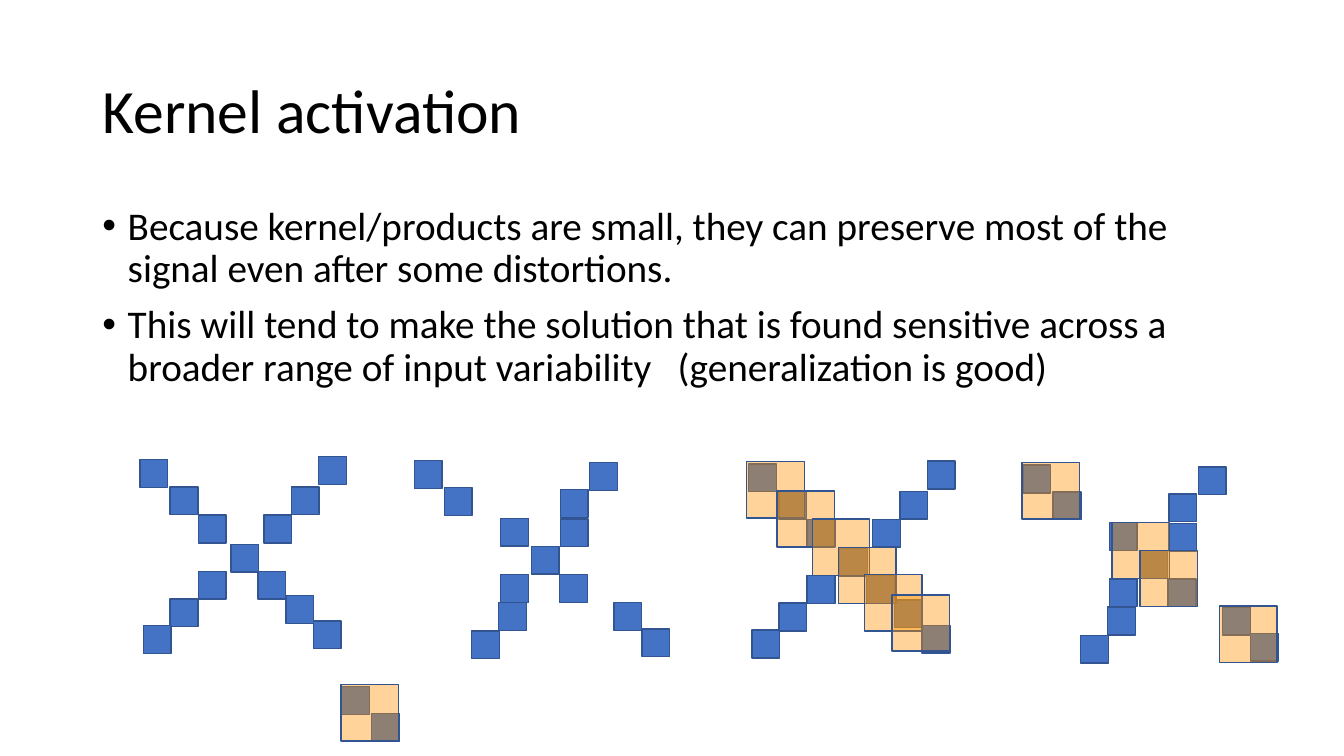
"""Build the kernel activation slide."""
from lxml.etree import SubElement
from pptx import Presentation
from pptx.dml.color import RGBColor as Rgb
from pptx.enum.shapes import MSO_SHAPE as Shape
from pptx.enum.text import MSO_ANCHOR as Anchor, MSO_AUTO_SIZE as Fit, PP_ALIGN as Align
from pptx.oxml.ns import qn
from pptx.util import Cm, Pt

HUES = {"text": "000000", "cell": "4472C4", "edge": "325491", "kernel": "FF9300"}
CELL = (0.7, 0.7)
KERNEL = (1.45, 1.42)
SHIFT = (15.34, 0.11)
TAB = 14.5

POINTS = [
    "Because kernel/products are small, they can preserve most of the "
    "signal even after some distortions.",
    "This will tend to make the solution that is found sensitive across a "
    "broader range of input variability\t(generalization is good)",
]
CROSS = [
    (6.65, 12.98), (4.29, 12.27), (5, 12.98), (5.82, 13.72), (6.5, 14.4),
    (7.21, 15.01), (5, 14.4), (4.29, 15.09), (7.34, 12.27), (7.9, 15.65),
    (3.61, 15.77), (3.53, 11.58), (8.03, 11.51),
]
BENT = [
    (14.12, 13.08), (11.2, 12.29), (12.62, 13.06), (13.39, 13.77), (14.1, 14.48),
    (15.47, 15.19), (12.62, 14.48), (12.57, 15.19), (14.12, 12.34), (16.18, 15.85),
    (11.89, 15.9), (10.44, 11.61), (14.86, 11.66),
]
HITS = [
    (18.82, 11.63), (19.58, 12.37), (20.47, 13.08), (21.13, 13.79), (21.79, 14.48),
    (22.48, 14.99), (25.76, 11.66), (28.02, 13.16), (28.73, 13.87), (30.73, 15.27),
]
KEY = [(9.37, 17.98), (8.61, 17.3)]
KEY_HIT = [(8.59, 17.25)]


def add_bullet(para):
    props = para._p.get_or_add_pPr()
    props.set("marL", str(Cm(0.64)))
    props.set("indent", str(-Cm(0.64)))
    SubElement(props, qn("a:buFont"), typeface="Arial")
    SubElement(props, qn("a:buChar"), char="•")
    tabs = SubElement(props, qn("a:tabLst"))
    SubElement(tabs, qn("a:tab"), pos=str(Cm(TAB)), algn="l")


def write(frame, lines, size=28, hue="text", anchor=Anchor.TOP, gap=0, bullet=False):
    frame.word_wrap = True
    frame.auto_size = Fit.NONE
    frame.vertical_anchor = anchor
    for i, line in enumerate(lines):
        para = frame.add_paragraph() if i else frame.paragraphs[0]
        if bullet:
            add_bullet(para)
        para.alignment = Align.LEFT
        para.line_spacing = 0.9
        para.space_before = Pt(gap if i else 0)
        run = para.add_run()
        run.text = line
        font = run.font
        font.name, font.size = "Calibri", Pt(size)
        font.color.rgb = Rgb.from_string(HUES[hue])


def add_tiles(slide, spots, size, hue, alpha=None, shift=(0, 0)):
    for x, y in spots:
        box = (x + shift[0], y + shift[1], *size)
        tile = slide.shapes.add_shape(Shape.RECTANGLE, *map(Cm, box))
        tile.shadow.inherit = False
        tile.fill.solid()
        tile.fill.fore_color.rgb = Rgb.from_string(HUES[hue])
        tile.line.color.rgb = Rgb.from_string(HUES["edge"])
        tile.line.width = Pt(1)
        if alpha:
            color = tile.fill._xPr.find(qn("a:solidFill"))[0]
            SubElement(color, qn("a:alpha"), val=str(alpha * 1000))


def main():
    deck = Presentation()
    deck.slide_width, deck.slide_height = Cm(33.87), Cm(19.05)
    slide = deck.slides.add_slide(deck.slide_layouts[5])
    title = slide.shapes.title
    title.left, title.top, title.width, title.height = map(Cm, (2.33, 1.01, 29.21, 3.68))
    write(title.text_frame, ["Kernel activation"], size=44, anchor=Anchor.MIDDLE)
    body = slide.shapes.add_textbox(*map(Cm, (2.33, 5.07, 29.21, 12.09)))
    write(body.text_frame, POINTS, gap=10, bullet=True)
    for shift in ((0, 0), SHIFT):
        add_tiles(slide, CROSS + BENT, CELL, "cell", shift=shift)
    add_tiles(slide, HITS, KERNEL, "kernel", alpha=40)
    add_tiles(slide, KEY, CELL, "cell")
    add_tiles(slide, KEY_HIT, KERNEL, "kernel", alpha=40)
    deck.save("out.pptx")


if __name__ == "__main__":
    main()
